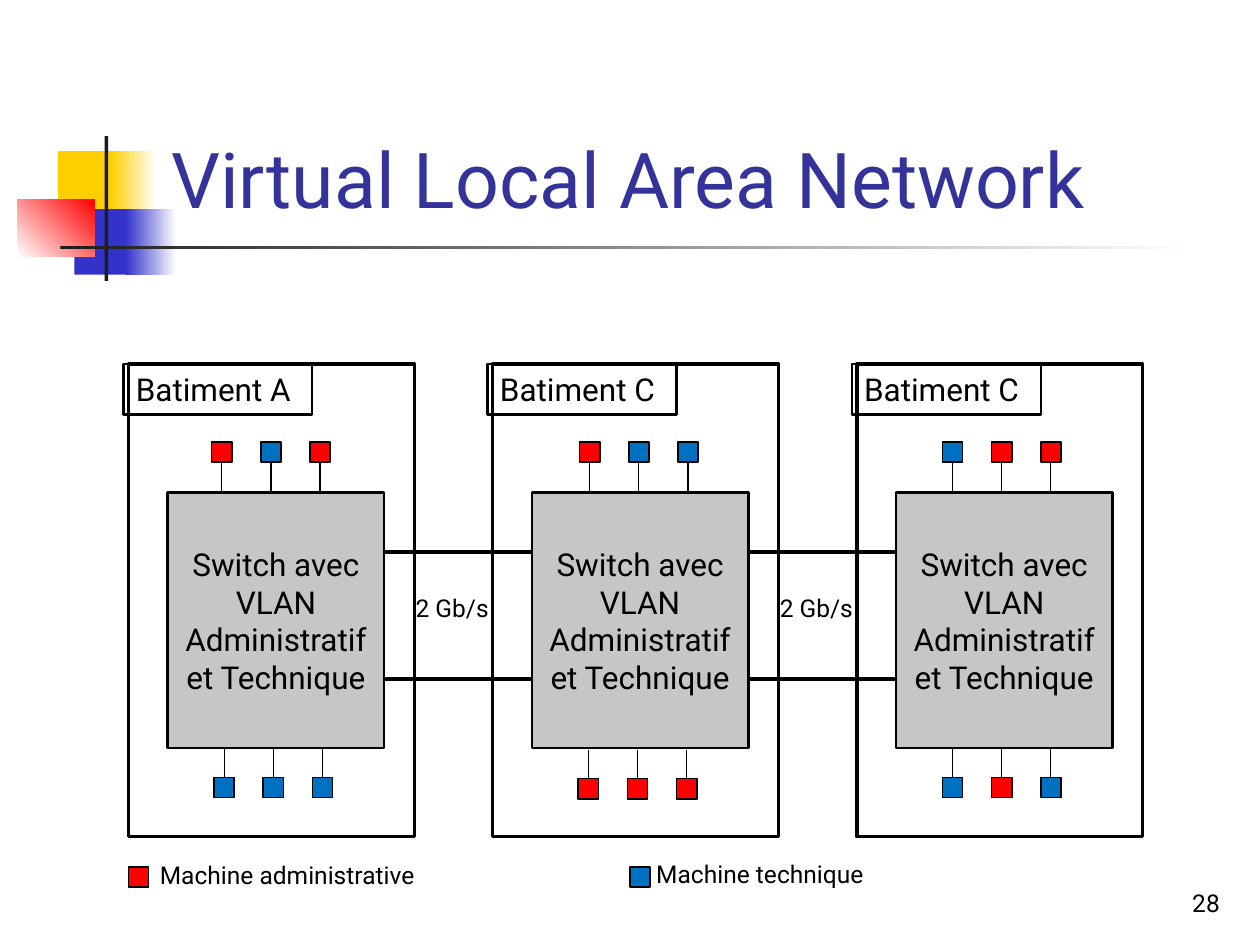
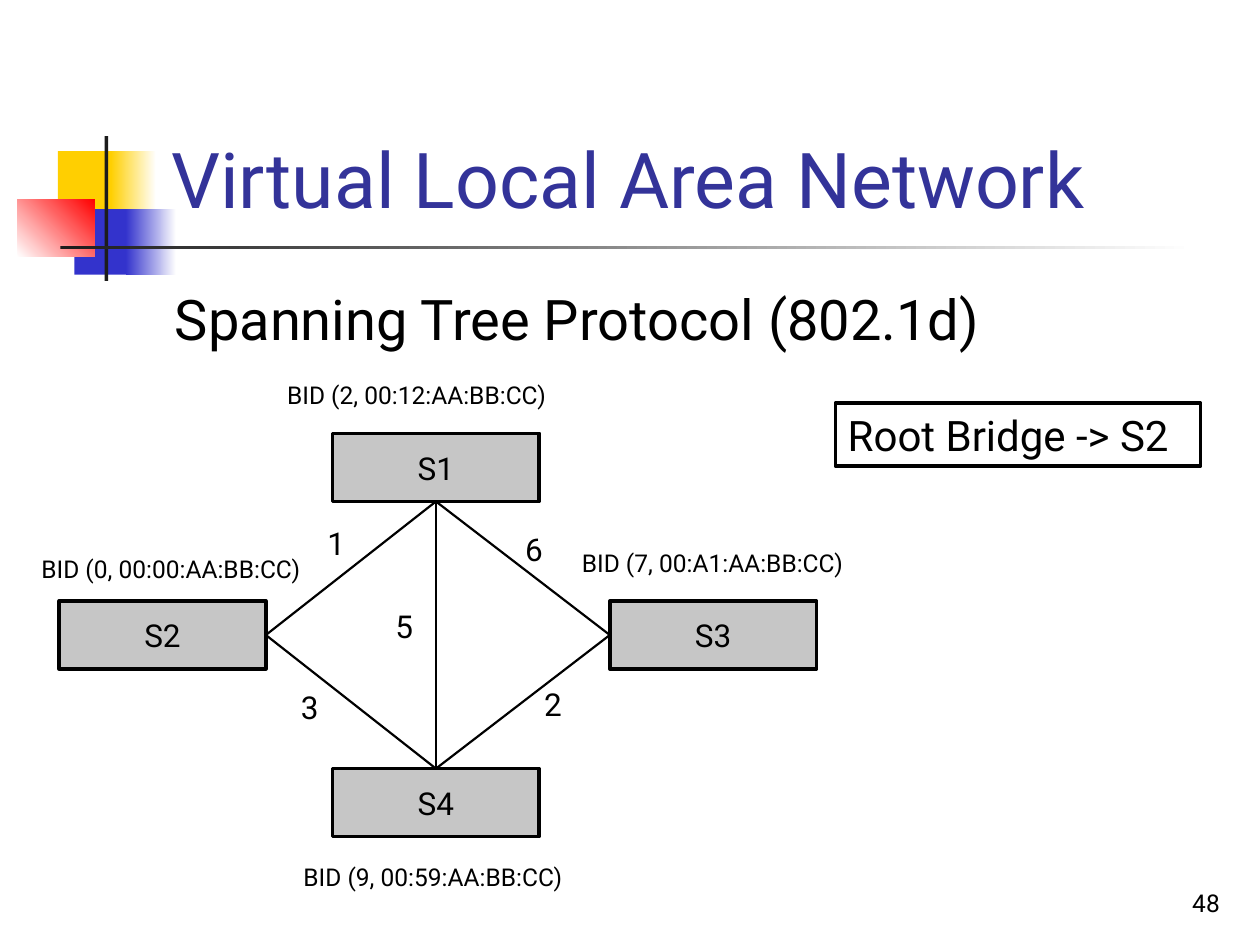
from dataclasses import dataclass

import pptx
import pptx.dml.color
import pptx.enum.shapes
import pptx.enum.text
import pptx.oxml.ns
import pptx.util
from lxml import etree
from pptx.dml.color import RGBColor
from pptx.util import Inches

FONT = "Roboto"
BLACK = RGBColor(0x00, 0x00, 0x00)
WHITE = RGBColor(0xFF, 0xFF, 0xFF)
TITLE_BLUE = RGBColor(0x33, 0x33, 0x99)
YELLOW = RGBColor(0xFF, 0xCF, 0x01)
INDIGO = RGBColor(0x33, 0x33, 0xCC)
CHARCOAL = RGBColor(0x1C, 0x1C, 0x1C)
GREY = RGBColor(0xC6, 0xC6, 0xC6)
RED = RGBColor(0xFF, 0x00, 0x00)
BLUE = RGBColor(0x00, 0x70, 0xC0)

ALIGN = pptx.enum.text.PP_ALIGN
ANCHOR = pptx.enum.text.MSO_ANCHOR
TOP_SITE, LEFT_SITE, BOTTOM_SITE, RIGHT_SITE = range(4)

BUILDING_LEFT, BUILDING_PITCH = 1.02, 2.89
MACHINE_SIZE, MACHINE_PITCH = 0.16, 0.39


@dataclass(frozen=True)
class Area:
    left: float
    top: float
    width: float
    height: float

    def lengths(self) -> list:
        return [Inches(value) for value in (self.left, self.top, self.width, self.height)]


@dataclass(frozen=True)
class TextStyle:
    size: float
    color: RGBColor = BLACK
    align: ALIGN = ALIGN.LEFT
    anchor: ANCHOR = ANCHOR.TOP
    wrap: bool = True
    grow: bool = False


@dataclass(frozen=True)
class Decoration:
    area: Area
    start: RGBColor
    end: RGBColor | None = None
    angle: float = 0


@dataclass(frozen=True)
class MachineRow:
    left: float
    top: float
    lead_from: float
    lead_to: float
    colors: tuple


@dataclass(frozen=True)
class Building:
    name: str
    upper: MachineRow
    lower: MachineRow


@dataclass(frozen=True)
class Label:
    text: str
    area: Area


@dataclass(frozen=True)
class Link:
    start: str
    start_site: int
    end: str
    end_site: int


TITLE = TextStyle(44, TITLE_BLUE, anchor=ANCHOR.BOTTOM)
SUBTITLE = TextStyle(32)
PAGE_NUMBER = TextStyle(14, align=ALIGN.RIGHT, anchor=ANCHOR.BOTTOM)
SWITCH = TextStyle(18, align=ALIGN.CENTER, anchor=ANCHOR.MIDDLE)
TAG = TextStyle(18, wrap=False, grow=True)
CAPTION = TextStyle(14, wrap=False, grow=True)
BRIDGE_ID = TextStyle(14, grow=True)
ROOT = TextStyle(24, wrap=False, grow=True)

DECORATIONS = (
    Decoration(Area(0.46, 1.2, 0.48, 0.52), YELLOW),
    Decoration(Area(0.88, 1.2, 0.36, 0.52), YELLOW, WHITE),
    Decoration(Area(0.59, 1.66, 0.46, 0.52), INDIGO),
    Decoration(Area(1, 1.66, 0.4, 0.52), INDIGO, WHITE),
    Decoration(Area(0.14, 1.58, 0.61, 0.46), WHITE, RED, 45),
    Decoration(Area(0.83, 1.08, 0.03, 1.15), CHARCOAL),
    Decoration(Area(0.48, 1.95, 9, 0.03), CHARCOAL, WHITE),
)


def upper_row(left: float, *colors: RGBColor) -> MachineRow:
    return MachineRow(left, 3.51, 3.66, 3.9, colors)


def lower_row(top: float, *colors: RGBColor) -> MachineRow:
    return MachineRow(0.68, top, top, top - 0.23, colors)


BUILDINGS = (
    Building("Batiment A", upper_row(0.66, RED, BLUE, RED), lower_row(6.17, BLUE, BLUE, BLUE)),
    Building("Batiment C", upper_row(0.69, RED, BLUE, BLUE), lower_row(6.18, RED, RED, RED)),
    Building("Batiment C", upper_row(0.68, BLUE, RED, RED), lower_row(6.17, BLUE, RED, BLUE)),
)

BRIDGES = (
    Label("S1", Area(2.64, 3.44, 1.64, 0.54)),
    Label("S2", Area(0.47, 4.77, 1.64, 0.54)),
    Label("S3", Area(4.84, 4.77, 1.64, 0.54)),
    Label("S4", Area(2.64, 6.1, 1.64, 0.54)),
)

BRIDGE_LINKS = (
    Link("S2", RIGHT_SITE, "S1", BOTTOM_SITE),
    Link("S1", BOTTOM_SITE, "S3", LEFT_SITE),
    Link("S3", LEFT_SITE, "S4", TOP_SITE),
    Link("S2", RIGHT_SITE, "S4", TOP_SITE),
    Link("S1", BOTTOM_SITE, "S4", TOP_SITE),
)

BRIDGE_IDS = (
    Label("BID (0, 00:00:AA:BB:CC)", Area(0.23, 4.35, 2.54, 0.34)),
    Label("BID (2, 00:12:AA:BB:CC)", Area(2.18, 2.97, 2.58, 0.34)),
    Label("BID (7, 00:A1:AA:BB:CC)", Area(4.52, 4.3, 2.36, 0.34)),
    Label("BID (9, 00:59:AA:BB:CC)", Area(2.31, 6.79, 2.37, 0.34)),
)

LINK_COSTS = (("1", 2.5, 4.11), ("3", 2.29, 5.41), ("5", 3.04, 4.77), ("6", 4.07, 4.16), ("2", 4.22, 5.39))


def write(box, text: str, style: TextStyle) -> None:
    frame = box.text_frame
    frame.word_wrap = style.wrap
    sizing = pptx.enum.text.MSO_AUTO_SIZE
    frame.auto_size = sizing.SHAPE_TO_FIT_TEXT if style.grow else sizing.NONE
    frame.vertical_anchor = style.anchor
    para = frame.paragraphs[0]
    para.text = text
    para.alignment = style.align
    para.font.name = FONT
    para.font.size = pptx.util.Pt(style.size)
    para.font.color.rgb = style.color


def add_text(page, text: str, area: Area, style: TextStyle) -> None:
    write(page.shapes.add_textbox(*area.lengths()), text, style)


def add_box(page, area: Area, fill: RGBColor | None = None, line_width: float = 0):
    box = page.shapes.add_shape(pptx.enum.shapes.MSO_SHAPE.RECTANGLE, *area.lengths())
    box.shadow.inherit = False
    if fill is None:
        box.fill.background()
    else:
        box.fill.solid()
        box.fill.fore_color.rgb = fill
    if line_width:
        box.line.color.rgb = BLACK
        box.line.width = pptx.util.Pt(line_width)
    else:
        box.line.fill.background()
    return box


def add_line(page, start: tuple, end: tuple, width: float):
    line = page.shapes.add_connector(
        pptx.enum.shapes.MSO_CONNECTOR.STRAIGHT, *(Inches(value) for value in start + end)
    )
    line.line.color.rgb = BLACK
    line.line.width = pptx.util.Pt(width)
    etree.SubElement(line._element.spPr, pptx.oxml.ns.qn("a:effectLst"))
    return line


def add_page(deck, number: str):
    page = deck.slides.add_slide(deck.slide_layouts[6])
    for decoration in DECORATIONS:
        box = add_box(page, decoration.area, decoration.start)
        if decoration.end is not None:
            box.fill.gradient()
            box.fill.gradient_angle = decoration.angle
            for stop, color in zip(box.fill.gradient_stops, (decoration.start, decoration.end)):
                stop.color.rgb = color
    add_text(page, "Virtual Local Area Network", Area(1.26, 0.23, 8.52, 1.6), TITLE)
    add_text(page, number, Area(7.7, 6.83, 2.08, 0.5), PAGE_NUMBER)
    return page


def add_machine(page, left: float, top: float, color: RGBColor) -> None:
    add_box(page, Area(left, top, MACHINE_SIZE, MACHINE_SIZE), color, 1)


def add_machine_row(page, building_left: float, row: MachineRow) -> None:
    for index, color in enumerate(row.colors):
        left = building_left + row.left + index * MACHINE_PITCH
        center = left + MACHINE_SIZE / 2
        add_machine(page, left, row.top, color)
        add_line(page, (center, row.lead_from), (center, row.lead_to), 0.75)


def add_building(page, left: float, building: Building) -> None:
    add_box(page, Area(left, 2.89, 2.27, 3.75), line_width=2)
    tag = add_box(page, Area(left - 0.04, 2.89, 1.5, 0.4), line_width=1.25)
    write(tag, building.name, TAG)
    switch = add_box(page, Area(left + 0.31, 3.91, 1.72, 2.03), GREY, 1.25)
    write(switch, "Switch avec VLAN Administratif et Technique", SWITCH)
    add_machine_row(page, left, building.upper)
    add_machine_row(page, left, building.lower)


def build_vlan_page(deck) -> None:
    page = add_page(deck, "28")
    lefts = [BUILDING_LEFT + index * BUILDING_PITCH for index in range(len(BUILDINGS))]
    for left, building in zip(lefts, BUILDINGS):
        add_building(page, left, building)
    for left in lefts[:-1]:
        for level in (4.38, 5.39):
            add_line(page, (left + 2.03, level), (left + 3.2, level), 2)
        add_text(page, "2 Gb/s", Area(left + 2.18, 4.66, 0.79, 0.34), CAPTION)
    add_machine(page, 1.02, 6.88, RED)
    add_text(page, "Machine administrative", Area(1.17, 6.78, 2.35, 0.34), CAPTION)
    add_machine(page, 5, 6.88, BLUE)
    add_text(page, "Machine technique", Area(5.11, 6.77, 1.95, 0.34), CAPTION)


def build_spanning_tree_page(deck) -> None:
    page = add_page(deck, "48")
    add_text(page, "Spanning Tree Protocol (802.1d)", Area(1.29, 2.21, 8.5, 0.76), SUBTITLE)
    bridges = {}
    for bridge in BRIDGES:
        bridges[bridge.text] = add_box(page, bridge.area, GREY, 2)
        write(bridges[bridge.text], bridge.text, SWITCH)
    for link in BRIDGE_LINKS:
        line = add_line(page, (0, 0), (0, 0), 1.25)
        line.begin_connect(bridges[link.start], link.start_site)
        line.end_connect(bridges[link.end], link.end_site)
    for bridge_id in BRIDGE_IDS:
        add_text(page, bridge_id.text, bridge_id.area, BRIDGE_ID)
    for cost, left, top in LINK_COSTS:
        add_text(page, cost, Area(left, top, 0.34, 0.4), TAG)
    root = add_box(page, Area(6.63, 3.2, 2.9, 0.5), line_width=2)
    write(root, "Root Bridge -> S2", ROOT)


def main() -> None:
    deck = pptx.Presentation()
    deck.slide_width = Inches(10)
    deck.slide_height = Inches(7.5)
    build_vlan_page(deck)
    build_spanning_tree_page(deck)
    deck.save("out.pptx")


if __name__ == "__main__":
    main()
